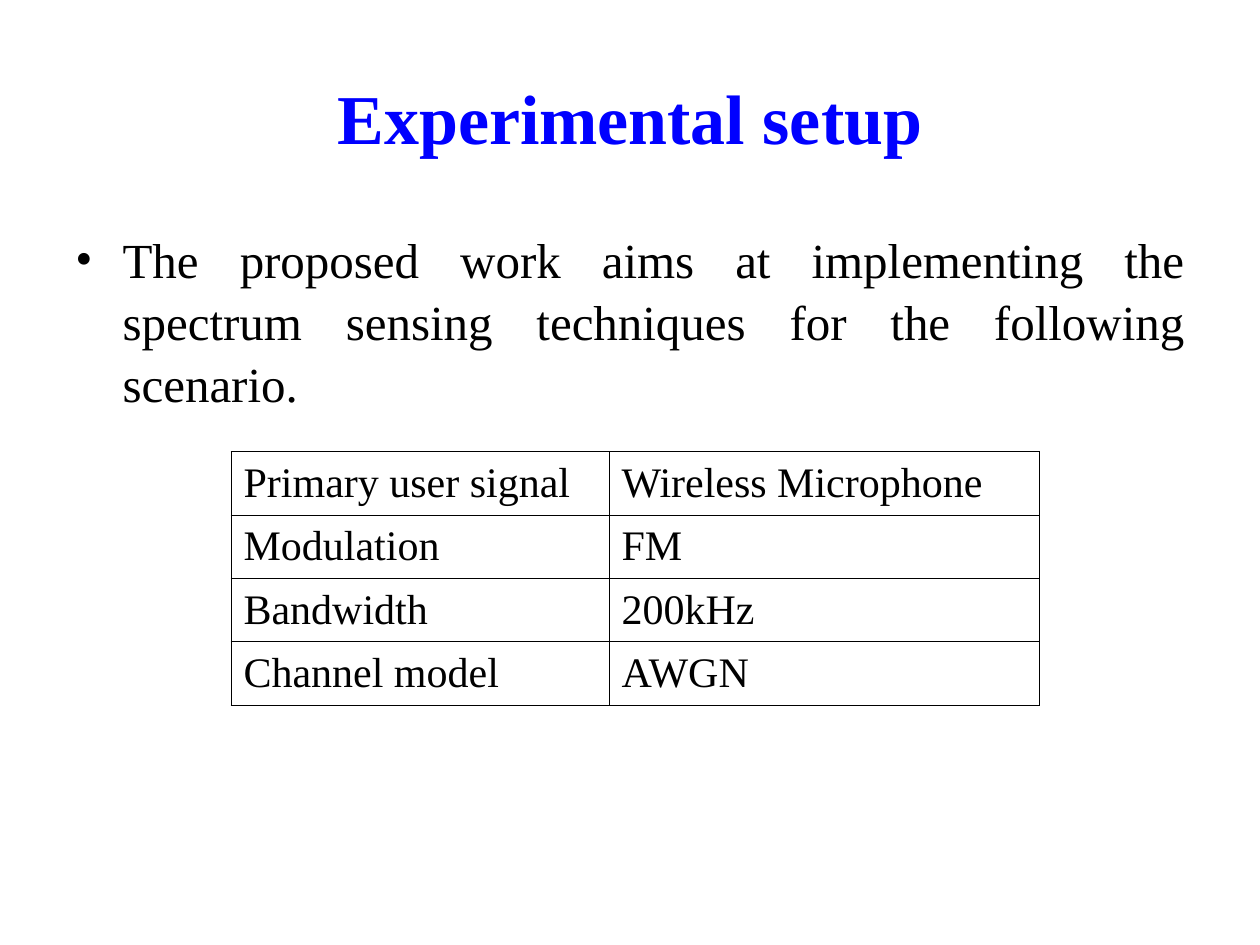
from lxml.etree import SubElement
from pptx import Presentation
from pptx.dml.color import RGBColor
from pptx.enum.text import MSO_ANCHOR, PP_ALIGN
from pptx.oxml.ns import qn
from pptx.util import Pt

BLUE = RGBColor(0, 0, 255)
BLACK = RGBColor(0, 0, 0)
FONT = "Times New Roman"

TITLE = "Experimental setup"
BODY = ("The proposed work aims at implementing the spectrum sensing "
        "techniques for the following scenario.")
ROWS = [
    ("Primary user signal", "Wireless Microphone"),
    ("Modulation", "FM"),
    ("Bandwidth", "200kHz"),
    ("Channel model", "AWGN"),
]
COLS = (216, 246)
ROW = 36.25
EDGE = 0.45
INDENT = 27

HEAD = {"size": Pt(40), "bold": True, "color": BLUE}
TEXT = {"size": Pt(28), "color": BLACK}
CELL = {"size": Pt(24), "color": BLACK}


def write(para, text, style):
    run = para.add_run()
    run.text = text
    font = run.font
    font.name = FONT
    for key, value in style.items():
        if key == "color":
            font.color.rgb = value
        else:
            setattr(font, key, value)


def add_text(slide, box, text, style, anchor, form):
    shape = slide.shapes.add_textbox(*map(Pt, box))
    frame = shape.text_frame
    frame.word_wrap = True
    frame.vertical_anchor = anchor
    para = frame.paragraphs[0]
    for key, value in form.items():
        setattr(para, key, value)
    write(para, text, style)
    return para


def add_bullet(para):
    props = para._p.get_or_add_pPr()
    props.set("marL", str(Pt(INDENT)))
    props.set("indent", str(-Pt(INDENT)))
    SubElement(props, qn("a:buFont"), typeface=FONT)
    SubElement(props, qn("a:buChar"), char="•")


def add_edges(cell):
    """Draw thin black lines on all four sides of a cell."""
    props = cell._tc.get_or_add_tcPr()
    for spot, side in enumerate(("lnL", "lnR", "lnT", "lnB")):
        line = props.makeelement(qn(f"a:{side}"), {"w": str(Pt(EDGE))})
        fill = SubElement(line, qn("a:solidFill"))
        SubElement(fill, qn("a:srgbClr"), val=str(BLACK))
        props.insert(spot, line)


def add_grid(slide, left, top):
    size = (len(ROWS), len(COLS))
    box = (left, top, sum(COLS), ROW * len(ROWS))
    table = slide.shapes.add_table(*size, *map(Pt, box)).table
    table.first_row = table.horz_banding = False
    for col, width in zip(table.columns, COLS):
        col.width = Pt(width)
    for row, texts in zip(table.rows, ROWS):
        row.height = Pt(ROW)
        for cell, text in zip(row.cells, texts):
            cell.fill.background()
            cell.vertical_anchor = MSO_ANCHOR.MIDDLE
            write(cell.text_frame.paragraphs[0], text, CELL)
            add_edges(cell)


def main():
    deck = Presentation()
    deck.slide_width, deck.slide_height = Pt(720), Pt(540)
    slide = deck.slides.add_slide(deck.slide_layouts[6])
    add_text(slide, (36, 21.6, 648, 90), TITLE, HEAD, MSO_ANCHOR.MIDDLE,
             {"alignment": PP_ALIGN.CENTER})
    body = add_text(slide, (36, 126, 648, 120), BODY, TEXT, MSO_ANCHOR.TOP,
                    {"alignment": PP_ALIGN.JUSTIFY, "space_before": Pt(7),
                     "line_spacing": 1.05})
    add_bullet(body)
    add_grid(slide, 132, 258)
    deck.save("out.pptx")


if __name__ == "__main__":
    main()
